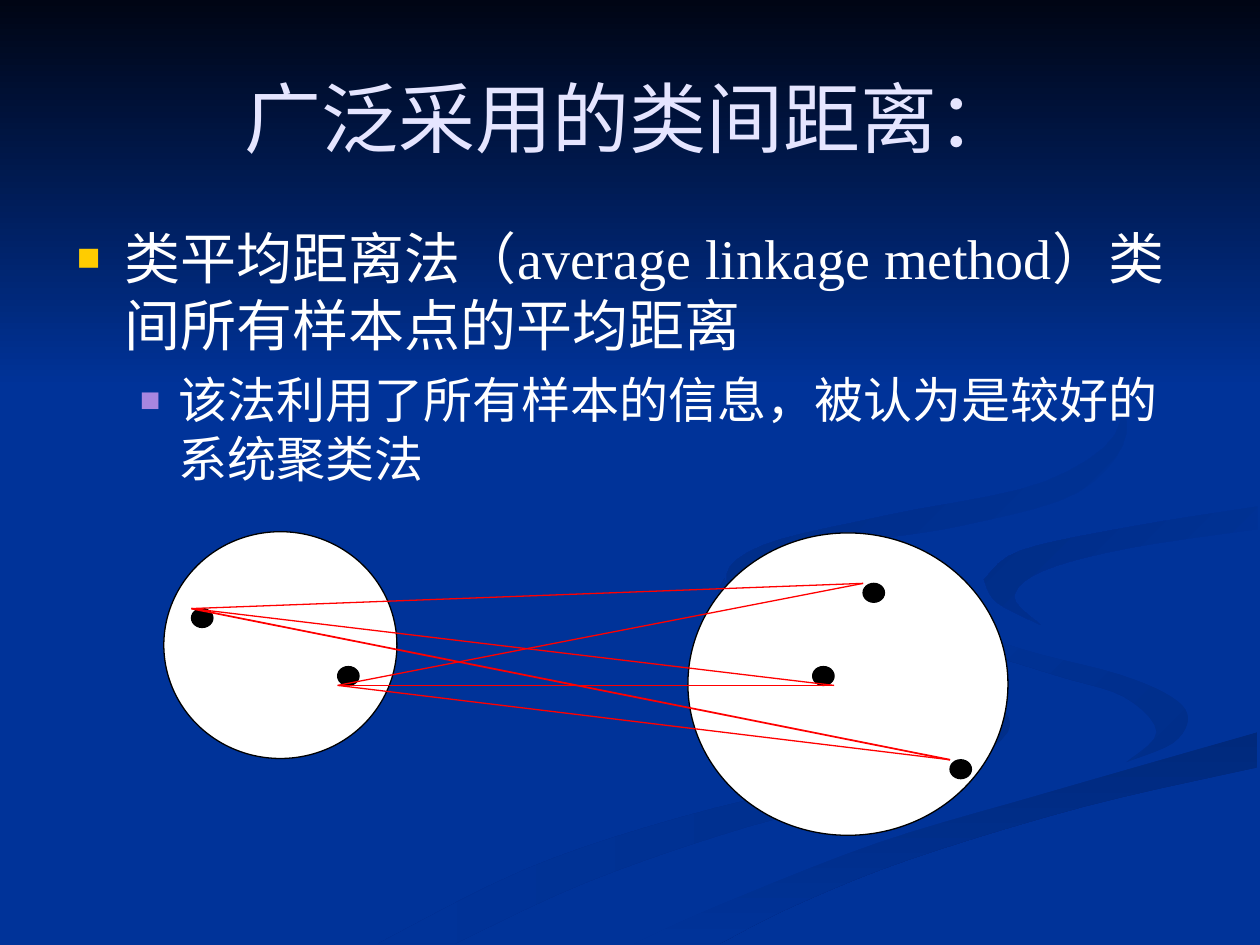
"""Build the slide on average linkage distance between two clusters."""
import itertools

import lxml.etree
import pptx
import pptx.dml.color
import pptx.enum.shapes
import pptx.enum.text
import pptx.oxml.ns
import pptx.util

Inches = pptx.util.Inches
Pt = pptx.util.Pt
RGBColor = pptx.dml.color.RGBColor
qn = pptx.oxml.ns.qn

BLUE = RGBColor(0x00, 0x33, 0x99)
NIGHT = RGBColor(0x00, 0x05, 0x14)
SHADE = RGBColor(0x00, 0x2E, 0x8A)
DEEP_SHADE = RGBColor(0x00, 0x29, 0x7C)
UPPER_SHADE = RGBColor(0x00, 0x2C, 0x85)
CURL_SHADE = RGBColor(0x00, 0x2B, 0x81)
LAVENDER = RGBColor(0xE5, 0xE5, 0xFF)
WHITE = RGBColor(0xFF, 0xFF, 0xFF)
BLACK = RGBColor(0x00, 0x00, 0x00)
RED = RGBColor(0xFF, 0x00, 0x00)
GOLD = RGBColor(0xFF, 0xCC, 0x00)
PURPLE = RGBColor(0xA8, 0x86, 0xE0)

CURVE_STEPS = 5
DOT_WIDTH, DOT_HEIGHT = 0.17, 0.15
THIN, HEAVY = Pt(0.75), Pt(1)


def smooth_edge(knots):
    """Return points on a Catmull-Rom curve through the knots."""
    padded = [knots[0], *knots, knots[-1]]
    points = [knots[0]]
    for before, start, end, after in zip(padded, padded[1:], padded[2:], padded[3:]):
        for step in range(1, CURVE_STEPS + 1):
            t = step / CURVE_STEPS
            points.append(tuple(
                b + ((c - a) * t + (2 * a - 5 * b + 4 * c - d) * t ** 2
                     + (3 * b - a - 3 * c + d) * t ** 3) / 2
                for a, b, c, d in zip(before, start, end, after)))
    return points


def style_fill(shape, start, end, angle):
    """Fill a shape with one colour, or with a gradient when the two differ."""
    if start == end:
        shape.fill.solid()
        shape.fill.fore_color.rgb = start
        return
    shape.fill.gradient()
    shape.fill.gradient_angle = angle
    for stop, color in zip(shape.fill.gradient_stops, (start, end)):
        stop.color.rgb = color


EDGES = {
    "left outer": [(5.75, 4.59), (5.72, 4.76), (6.11, 4.99), (6.79, 5.19), (7.41, 5.39), (7.86, 5.66),
                   (7.59, 5.9), (6.84, 6.13), (5.39, 6.49), (4.17, 6.9), (3, 7.49)],
    "left inner": [(3.61, 7.49), (4.66, 7), (5.94, 6.56), (7.4, 6.18), (8, 5.81), (7.81, 5.53),
                   (7.15, 5.28), (6.42, 5.07), (5.87, 4.81), (5.75, 4.59)],
    "right outer": [(7.24, 4.64), (7.45, 4.9), (8.11, 5.15), (8.88, 5.35), (9.3, 5.53), (9.43, 5.7),
                    (9.31, 5.9), (8.94, 6.05)],
    "right inner": [(8.94, 6.05), (9.18, 5.81), (8.92, 5.53), (8.38, 5.36), (7.66, 5.12), (7.33, 4.88),
                    (7.24, 4.64)],
    "lower top": [(5.03, 7.49), (5.69, 7.19), (6.96, 6.69), (8.31, 6.29), (9.98, 5.81)],
    "lower bottom": [(9.98, 6.09), (8.61, 6.4), (7.22, 6.82), (6.3, 7.19), (5.71, 7.49)],
    "middle fall": [(8.94, 6.05), (7.43, 6.43), (6.19, 6.84), (4.77, 7.49)],
    "middle rise": [(9.99, 5.38), (8.66, 5.09), (8.04, 4.85), (7.81, 4.6)],
    "middle top": [(9.99, 3.87), (8.74, 4.08), (7.7, 4.27), (7.24, 4.64)],
    "upper top": [(7.81, 4.6), (8.1, 4.37), (8.98, 4.18), (9.98, 4.02)],
    "upper bottom": [(9.98, 4.2), (8.96, 4.35), (8.28, 4.53), (8.05, 4.74), (8.26, 4.96)],
    "upper tip": [(8.26, 4.96), (7.91, 4.78), (7.81, 4.6)],
    "curl outer": [(7.62, 2.33), (8.21, 2.61), (8.73, 2.99), (8.94, 3.44), (8.55, 3.91), (7.64, 4.17),
                   (6.83, 4.3), (6.24, 4.44), (5.93, 4.7), (6.22, 5)],
    "curl inner": [(6.22, 5), (5.77, 4.62), (6.05, 4.33), (7.04, 4.09), (8.3, 3.82), (8.89, 3.35),
                   (8.46, 2.79), (7.62, 2.33)],
}
RIBBONS = [
    (["left outer", "left inner"], SHADE, BLUE, 180),
    (["right outer", "right inner"], SHADE, BLUE, 135),
    (["lower top", "lower bottom"], DEEP_SHADE, BLUE, 270),
    (["right outer", "middle fall", "lower top", "middle rise", "upper top", "middle top"], BLUE, BLUE, 0),
    (["upper top", "upper bottom", "upper tip"], BLUE, UPPER_SHADE, 135),
    (["curl outer", "curl inner"], BLUE, CURL_SHADE, 135),
]

deck = pptx.Presentation()
deck.slide_width, deck.slide_height = Inches(10), Inches(7.5)
slide = deck.slides.add_slide(deck.slide_layouts[1])
slide.background.fill.solid()
slide.background.fill.fore_color.rgb = BLUE
title, body = slide.placeholders

for edge_names, start, end, angle in RIBBONS:
    outline = [(Inches(x), Inches(y)) for name in edge_names for x, y in smooth_edge(EDGES[name])]
    builder = slide.shapes.build_freeform(*outline[0])
    builder.add_line_segments(outline[1:])
    ribbon = builder.convert_to_shape()
    ribbon.shadow.inherit = False
    ribbon.line.fill.background()
    style_fill(ribbon, start, end, angle)

night_sky = slide.shapes.add_shape(
    pptx.enum.shapes.MSO_SHAPE.RECTANGLE, 0, 0, deck.slide_width, Inches(3.08))
night_sky.shadow.inherit = False
night_sky.line.fill.background()
style_fill(night_sky, NIGHT, BLUE, 270)

for holder, box, anchor in [
    (title, (0.5, 0.3, 9, 1.25), pptx.enum.text.MSO_ANCHOR.MIDDLE),
    (body, (0.51, 1.72, 9, 4.3), pptx.enum.text.MSO_ANCHOR.TOP),
]:
    holder.left, holder.top, holder.width, holder.height = map(Inches, box)
    holder.text_frame.auto_size = pptx.enum.text.MSO_AUTO_SIZE.NONE
    holder.text_frame.vertical_anchor = anchor
    holder.element.getparent().append(holder.element)

title.text_frame.text = "广泛采用的类间距离："
body.text_frame.text = "类平均距离法（average linkage method）类间所有样本点的平均距离"
method = body.text_frame.paragraphs[0]
remark = body.text_frame.add_paragraph()
remark.text = "该法利用了所有样本的信息，被认为是较好的系统聚类法"
remark.level = 1
heading = title.text_frame.paragraphs[0]
heading.alignment = pptx.enum.text.PP_ALIGN.CENTER

for item, before, margin, indent, color in [
    (method, 0, 0.38, -0.38, GOLD),
    (remark, 7, 0.81, -0.31, PURPLE),
]:
    item.space_before = Pt(before)
    properties = item._p.get_or_add_pPr()
    properties.set("marL", str(Inches(margin)))
    properties.set("indent", str(Inches(indent)))
    bullet_color = lxml.etree.SubElement(properties, qn("a:buClr"))
    lxml.etree.SubElement(bullet_color, qn("a:srgbClr"), val=str(color))
    lxml.etree.SubElement(properties, qn("a:buSzPct"), val="70000")
    lxml.etree.SubElement(properties, qn("a:buChar"), char="■")

for paragraph, size, color in [(heading, 44, LAVENDER), (method, 32, WHITE), (remark, 28, WHITE)]:
    font = paragraph.runs[0].font
    for name, value in {"name": "Times New Roman", "size": Pt(size), "bold": False}.items():
        setattr(font, name, value)
    font.color.rgb = color

TOP_LEFT, BOTTOM_LEFT, BOTTOM_RIGHT = (0, 0), (0, 1), (1, 1)
clusters = [(1.3, 4.22, 1.85, 1.8), (5.46, 4.23, 2.54, 2.4)]
left_samples = [(1.52, 4.83, TOP_LEFT), (2.68, 5.29, BOTTOM_LEFT)]
right_samples = [(6.85, 4.63, TOP_LEFT), (6.45, 5.29, BOTTOM_RIGHT), (7.54, 6.03, TOP_LEFT)]
dots = [(x, y, DOT_WIDTH, DOT_HEIGHT) for x, y, corner in left_samples + right_samples]
for box, color in [(c, WHITE) for c in clusters] + [(d, BLACK) for d in dots]:
    oval = slide.shapes.add_shape(pptx.enum.shapes.MSO_SHAPE.OVAL, *map(Inches, box))
    oval.shadow.inherit = False
    style_fill(oval, color, color, 0)
    oval.line.color.rgb = BLACK
    oval.line.width = THIN

left_ends, right_ends = [
    [(x + across * DOT_WIDTH, y + down * DOT_HEIGHT) for x, y, (across, down) in samples]
    for samples in (left_samples, right_samples)]
heavy_links = [(left_ends[0], right_ends[2]), (left_ends[1], right_ends[1])]
for link in itertools.product(left_ends, right_ends):
    distance = slide.shapes.add_connector(
        pptx.enum.shapes.MSO_CONNECTOR.STRAIGHT, *map(Inches, link[0] + link[1]))
    distance.line.color.rgb = RED
    distance.line.width = HEAVY if link in heavy_links else THIN
    lxml.etree.SubElement(distance._element.spPr, qn("a:effectLst"))

deck.save("out.pptx")
